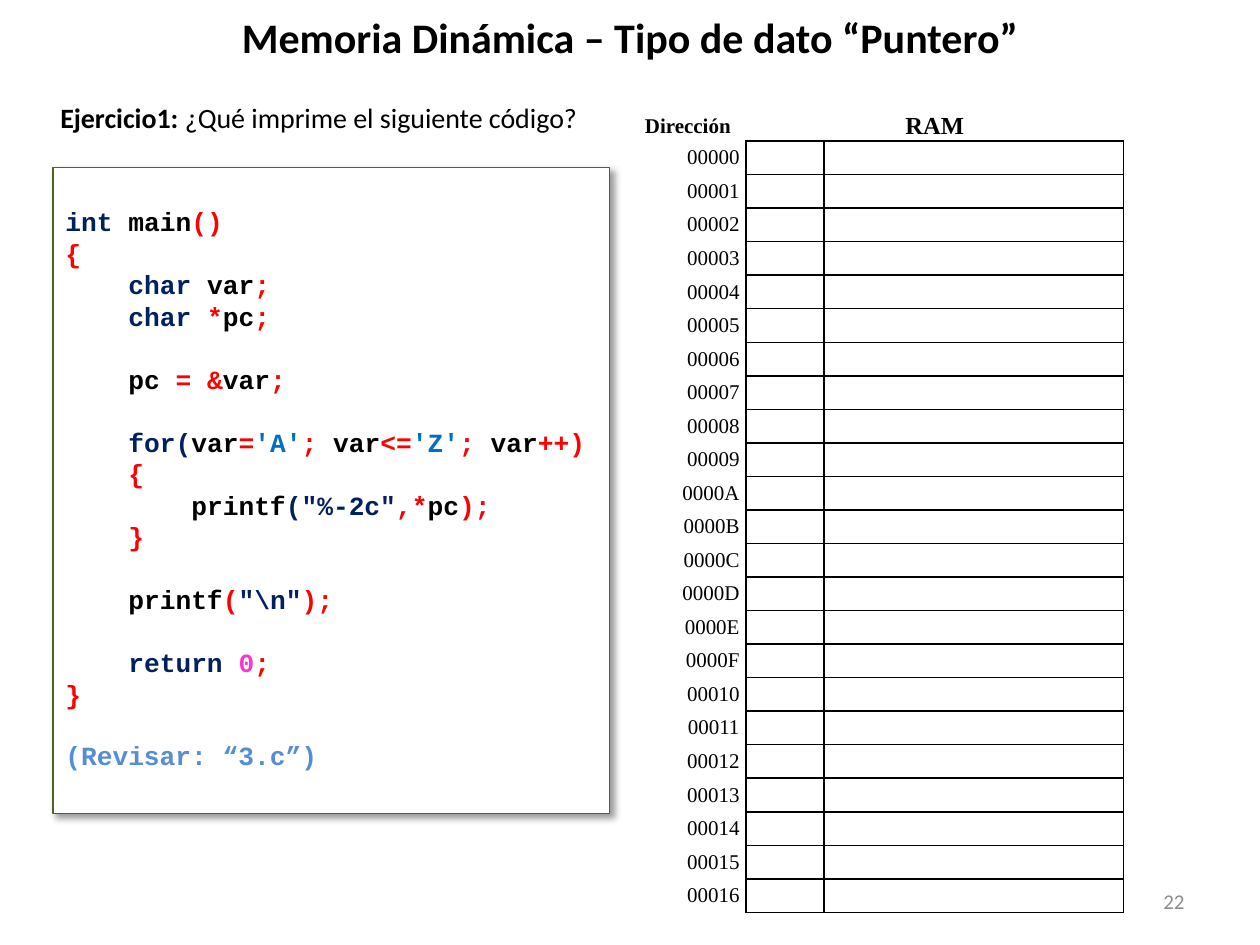
from pptx import Presentation
from pptx.dml.color import RGBColor
from pptx.enum.shapes import MSO_SHAPE
from pptx.enum.text import MSO_ANCHOR, PP_ALIGN
from pptx.oxml.ns import qn
from pptx.util import Inches, Pt
from lxml import etree

RECTANGLE = MSO_SHAPE.RECTANGLE
TOP, MIDDLE = MSO_ANCHOR.TOP, MSO_ANCHOR.MIDDLE
LEFT, CENTER, RIGHT = PP_ALIGN.LEFT, PP_ALIGN.CENTER, PP_ALIGN.RIGHT
JUSTIFY = PP_ALIGN.JUSTIFY

COLORS = {
    "black": "000000", "white": "FFFFFF", "gray": "8C8C8C", "border": "4F6228",
    "keyword": "002060", "symbol": "FF0000", "char": "0070C0",
    "number": "FF33CC", "note": "558ED5",
}
NO_GRID_STYLE = "{2D5ABB26-0587-4C30-8999-92F81FD0307C}"
LAST_ADDRESS = 0x16
VALUE_COLUMNS = 8

# Each line: indent level, space before in points, then (color, text) spans.
CODE = [
    (0, 0, [("keyword", "int "), ("black", "main"), ("symbol", "()")]),
    (0, 0, [("symbol", "{")]),
    (1, 0, [("keyword", "char "), ("black", "var"), ("symbol", ";")]),
    (1, 0, [("keyword", "char "), ("symbol", "*"), ("black", "pc"), ("symbol", ";")]),
    (1, 18, [("black", "pc "), ("symbol", "= &"), ("black", "var"), ("symbol", ";")]),
    (1, 18, [("keyword", "for("), ("black", "var"), ("symbol", "="), ("char", "'A'"),
             ("symbol", "; "), ("black", "var"), ("symbol", "<="), ("char", "'Z'"),
             ("symbol", "; "), ("black", "var"), ("symbol", "++)")]),
    (1, 0, [("symbol", "{")]),
    (2, 0, [("black", "printf"), ("keyword", '("%-2c"'), ("symbol", ",*"),
            ("black", "pc"), ("symbol", ");")]),
    (1, 0, [("symbol", "}")]),
    (1, 18, [("black", "printf"), ("symbol", "("), ("keyword", '"\\n"'), ("symbol", ");")]),
    (1, 18, [("keyword", "return "), ("number", "0"), ("symbol", ";")]),
    (0, 0, [("symbol", "}")]),
    (0, 17, [("note", "(Revisar: “3.c”)")]),
]


def rgb(name):
    return RGBColor.from_string(COLORS[name])


def style(para, size, font, color="black", bold=False, align=LEFT):
    para.alignment = align
    para.font.size, para.font.name, para.font.bold = Pt(size), font, bold
    para.font.color.rgb = rgb(color)


def place(shape, left, top, width, height):
    shape.left, shape.top, shape.width, shape.height = left, top, width, height


def add_title(page, *box):
    title = page.shapes.title
    place(title, *box)
    title.text_frame.vertical_anchor = MIDDLE
    title.text_frame.text = "Memoria Dinámica – Tipo de dato “Puntero”"
    style(title.text_frame.paragraphs[0], 24, "Calibri", bold=True, align=CENTER)


def add_question(page, *box):
    frame = page.shapes.add_textbox(*box).text_frame
    frame.word_wrap = True
    para = frame.paragraphs[0]
    style(para, 16, "Calibri", align=JUSTIFY)
    for text, bold in (("Ejercicio1:", True), (" ¿Qué imprime el siguiente código?", False)):
        span = para.add_run()
        span.text, span.font.bold = text, bold


def add_shadow(shape):
    """Soft black shadow to the lower right."""
    shape.shadow.inherit = False
    effects = shape._element.spPr.find(qn("a:effectLst"))
    shadow = etree.SubElement(effects, qn("a:outerShdw"), blurRad=str(Pt(4)),
                              dist=str(Pt(3)), dir=str(45 * 60000), rotWithShape="0")
    color = etree.SubElement(shadow, qn("a:srgbClr"), val=COLORS["black"])
    etree.SubElement(color, qn("a:alpha"), val="40000")


def add_code(page, *box):
    panel = page.shapes.add_shape(RECTANGLE, *box)
    panel.fill.solid()
    panel.fill.fore_color.rgb = rgb("white")
    panel.line.color.rgb = rgb("border")
    panel.line.width = Pt(0.75)
    add_shadow(panel)
    frame = panel.text_frame
    frame.word_wrap = True
    frame.vertical_anchor = TOP
    frame.margin_top = Inches(0.3)
    for index, (level, gap, spans) in enumerate(CODE):
        para = frame.add_paragraph() if index else frame.paragraphs[0]
        style(para, 15, "Courier New", bold=True)
        para.line_spacing, para.space_before = Pt(18), Pt(gap)
        para._p.get_or_add_pPr().set("marL", str(level * Inches(0.5)))
        for color, text in spans:
            span = para.add_run()
            span.text = text
            span.font.color.rgb = rgb(color)


def add_borders(cell, sides):
    """Black 1 pt lines on the given sides, named in the order L, R, T, B."""
    properties = cell._tc.get_or_add_tcPr()
    for side in sides:
        line = etree.SubElement(properties, qn("a:ln" + side), w=str(Pt(1)))
        fill = etree.SubElement(line, qn("a:solidFill"))
        etree.SubElement(fill, qn("a:srgbClr"), val=COLORS["black"])


def format_cell(cell, text, size, bold, align, sides):
    cell.margin_left = cell.margin_right = Inches(0.05)
    cell.margin_top = cell.margin_bottom = 0
    cell.vertical_anchor = MIDDLE
    add_borders(cell, sides)
    cell.fill.background()
    cell.text = text
    para = cell.text_frame.paragraphs[0]
    style(para, size, "Times New Roman", bold=bold, align=align)
    etree.SubElement(para._p, qn("a:endParaRPr"), sz=str(size * 100))


def add_memory(page, left, top, width, height):
    rows = LAST_ADDRESS + 2
    table = page.shapes.add_table(rows, VALUE_COLUMNS + 1, left, top, width, height).table
    table.first_row = table.horz_banding = False
    table._tbl.tblPr.find(qn("a:tableStyleId")).text = NO_GRID_STYLE
    widths = [Inches(0.92), Inches(0.62)] + [Inches(0.34)] * (VALUE_COLUMNS - 1)
    for column, column_width in zip(table.columns, widths):
        column.width = column_width
    header_height = Inches(0.24)
    for index, row in enumerate(table.rows):
        row.height = (height - header_height) // (rows - 1) if index else header_height

    format_cell(table.cell(0, 0), "Dirección", 12, True, CENTER, "")
    for column in range(1, VALUE_COLUMNS + 1):
        format_cell(table.cell(0, column), "RAM" if column == 1 else "", 14, True, CENTER, "B")
    table.cell(0, 1).merge(table.cell(0, VALUE_COLUMNS))
    for address in range(LAST_ADDRESS + 1):
        row = address + 1
        format_cell(table.cell(row, 0), f"{address:05X}", 12, False, RIGHT, "R")
        for column in range(1, VALUE_COLUMNS + 1):
            sides = {1: "LTB", VALUE_COLUMNS: "RTB"}.get(column, "TB")
            format_cell(table.cell(row, column), "", 12, False, LEFT, sides)


def add_page_number(page, *box):
    frame = page.shapes.add_textbox(*box).text_frame
    frame.word_wrap = True
    frame.vertical_anchor = MIDDLE
    frame.text = "22"
    style(frame.paragraphs[0], 12, "Calibri", "gray", align=RIGHT)


def main():
    deck = Presentation()
    deck.slide_width, deck.slide_height = Inches(10), Inches(7.5)
    page = deck.slides.add_slide(deck.slide_layouts.get_by_name("Title Only"))
    add_title(page, 0 + Inches(0.5), Inches(0), Inches(9), Inches(0.58))
    add_page_number(page, Inches(7.17), Inches(6.95), Inches(2.33), Inches(0.4))
    add_code(page, Inches(0.42), Inches(1.33), Inches(4.42), Inches(5.13))
    add_question(page, Inches(0.38), Inches(0.75), Inches(8.95), Inches(0.37))
    add_memory(page, Inches(5), Inches(0.88), Inches(3.91), Inches(6.37))
    deck.save("out.pptx")


if __name__ == "__main__":
    main()
